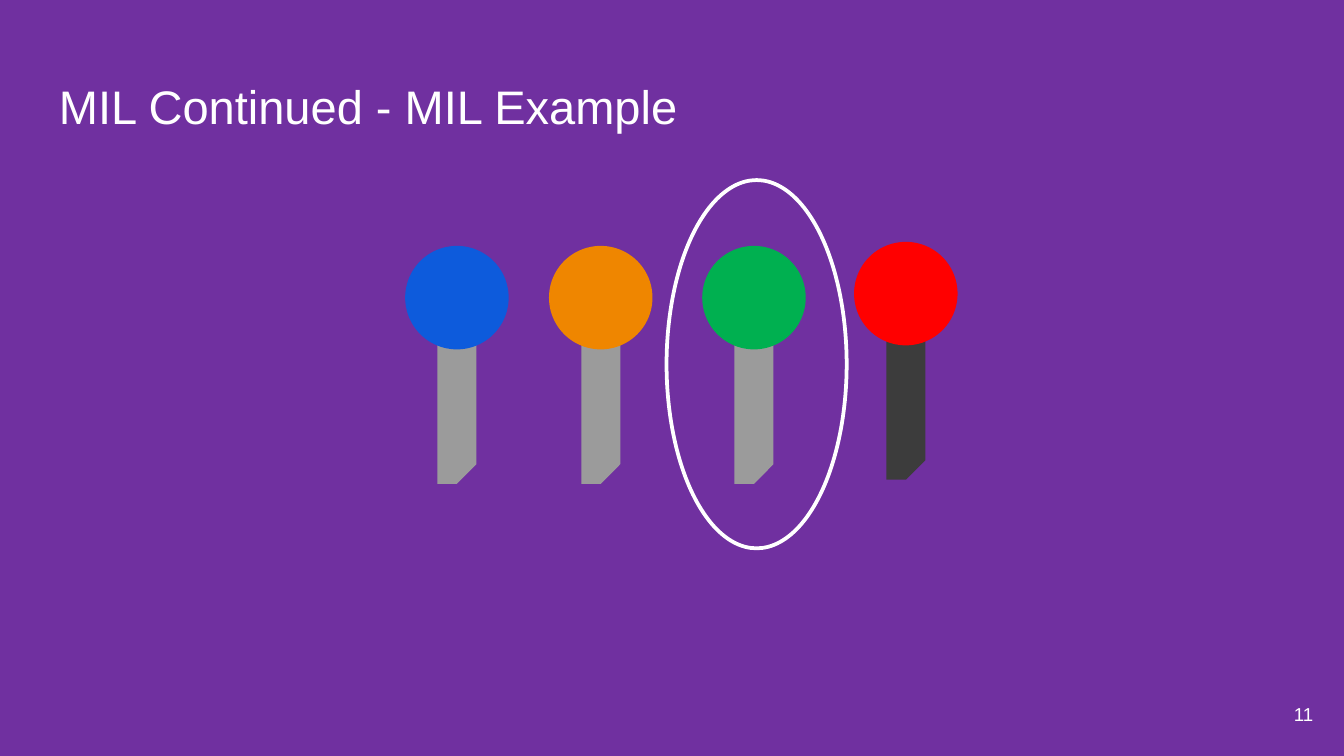
import pptx
import pptx.dml.color
import pptx.enum.shapes
import pptx.enum.text
import pptx.util

Inches = pptx.util.Inches
Pt = pptx.util.Pt
Shape = pptx.enum.shapes.MSO_SHAPE
Anchor = pptx.enum.text.MSO_ANCHOR
Align = pptx.enum.text.PP_ALIGN

COLOURS = {
    "background": "7030A0",
    "white": "FFFFFF",
    "grey": "9B9B9B",
    "dark": "3C3C3C",
    "blue": "0D5BDC",
    "orange": "EF8600",
    "green": "00B050",
    "red": "FF0000",
}


class KeySlide:
    """Holds the style and the current slide, and draws its elements."""

    font_name = "Arial"
    head_size = 0.77
    shaft_length = 1.2
    shaft_width = 0.29
    shaft_drop = 1.17

    def __init__(self, deck):
        self.slide = deck.slides.add_slide(deck.slide_layouts[6])
        self.paint(self.slide.background.fill, "background")

    def colour(self, name):
        return pptx.dml.color.RGBColor.from_string(COLOURS[name])

    def paint(self, fill, name):
        fill.solid()
        fill.fore_color.rgb = self.colour(name)

    def text(self, words, box, size, align=Align.LEFT, anchor=Anchor.TOP):
        frame = self.slide.shapes.add_textbox(*map(Inches, box)).text_frame
        margins = dict.fromkeys(
            ("margin_left", "margin_top", "margin_right", "margin_bottom"), Inches(0.1)
        )
        for key, value in {"word_wrap": True, "vertical_anchor": anchor, **margins}.items():
            setattr(frame, key, value)
        paragraph = frame.paragraphs[0]
        paragraph.alignment = align
        run = paragraph.add_run()
        run.text = words
        for key, value in {"name": self.font_name, "size": Pt(size)}.items():
            setattr(run.font, key, value)
        run.font.color.rgb = self.colour("white")

    def shape(self, kind, box, fill=None, line=None):
        drawn = self.slide.shapes.add_shape(kind, *map(Inches, box))
        drawn.shadow.inherit = False
        if fill:
            self.paint(drawn.fill, fill)
        else:
            drawn.fill.background()
        if line:
            drawn.line.color.rgb = self.colour(line)
            drawn.line.width = Pt(2)
        else:
            drawn.line.fill.background()
        return drawn

    def key(self, centre, top, head_colour, shaft_colour):
        shaft = self.shape(
            Shape.SNIP_1_RECTANGLE,
            (
                centre - self.shaft_length / 2,
                top + self.shaft_drop - self.shaft_width / 2,
                self.shaft_length,
                self.shaft_width,
            ),
            shaft_colour,
        )
        shaft.rotation = 90
        shaft.adjustments[0] = 0.5
        size = self.head_size
        self.shape(Shape.OVAL, (centre - size / 2, top, size, size), head_colour)


def main():
    deck = pptx.Presentation()
    deck.slide_width = Inches(10)
    deck.slide_height = Inches(10 * 9 / 16)
    page = KeySlide(deck)
    page.text("MIL Continued - MIL Example", (0.34, 0.48, 9.32, 0.63), 25.2)
    keys = [
        (3.4, 1.83, "blue", "grey"),
        (4.47, 1.83, "orange", "grey"),
        (5.61, 1.83, "green", "grey"),
        (6.74, 1.8, "red", "dark"),
    ]
    for key in keys:
        page.key(*key)
    page.shape(Shape.OVAL, (4.96, 1.34, 1.34, 2.74), line="white")
    page.text("11", (9.27, 5.1, 0.6, 0.43), 10, Align.RIGHT, Anchor.MIDDLE)
    deck.save("out.pptx")


if __name__ == "__main__":
    main()
